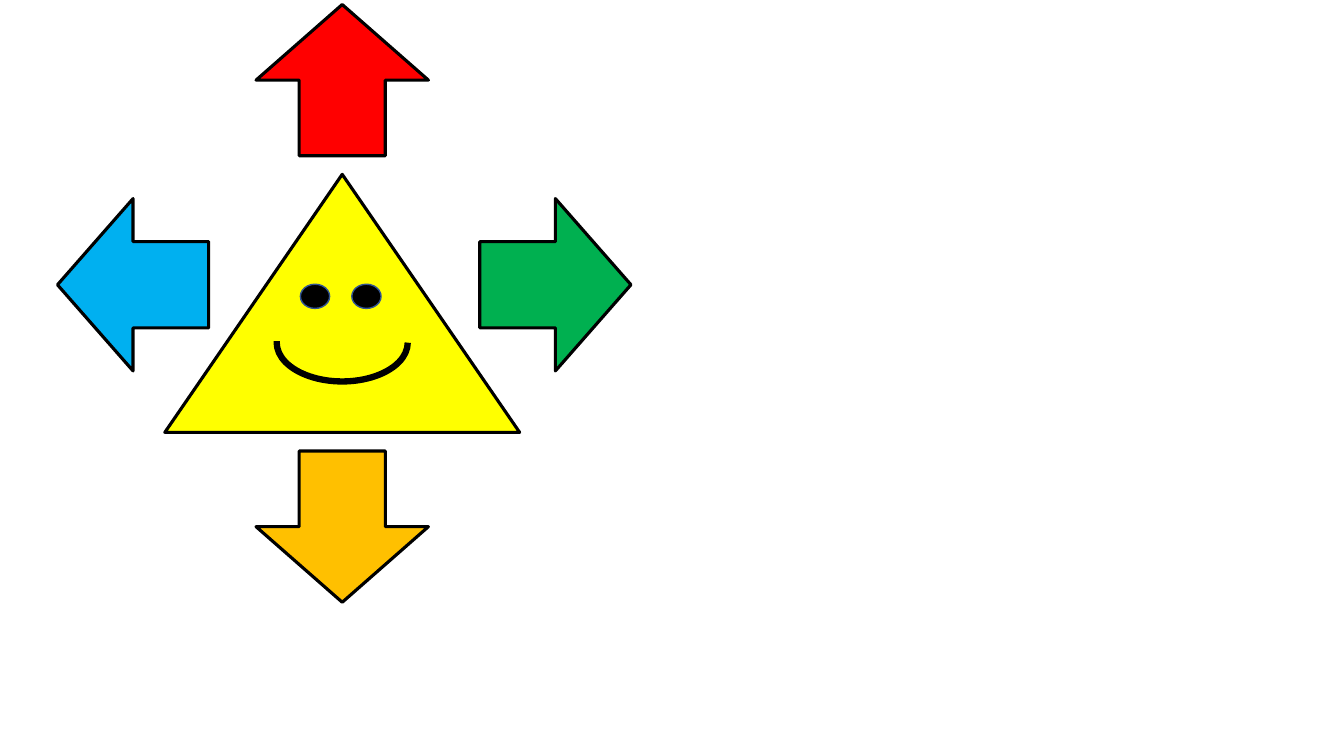
import pptx
import pptx.util
from pptx.dml.color import RGBColor
from pptx.enum.shapes import MSO_SHAPE

BLACK = RGBColor(0x00, 0x00, 0x00)
YELLOW = RGBColor(0xFF, 0xFF, 0x00)
RED = RGBColor(0xFF, 0x00, 0x00)
ORANGE = RGBColor(0xFF, 0xC0, 0x00)
GREEN = RGBColor(0x00, 0xB0, 0x50)
BLUE = RGBColor(0x00, 0xB0, 0xF0)
EYE_EDGE = RGBColor(0x32, 0x54, 0x91)

# Lengths are columns and rows of a square grid.
CELL = pptx.util.Inches(0.1)
COLUMNS, ROWS = 133.33, 75
CENTER = 33.95  # column of the figure's vertical axis
ARROW_SIZE = (15, 17.1)


def add_centered(slide, kind, center, size, fill=None, line=BLACK, weight=2.25, rotation=0):
    """Add a preset shape placed by its centre, with size as columns and rows."""
    left, top = (middle - length / 2 for middle, length in zip(center, size))
    box = (round(length * CELL) for length in (left, top, *size))
    shape = slide.shapes.add_shape(kind, *box)
    shape.rotation = rotation
    shape.shadow.inherit = False
    if fill is None:
        shape.fill.background()
    else:
        shape.fill.solid()
        shape.fill.fore_color.rgb = fill
    shape.line.color.rgb = line
    shape.line.width = pptx.util.Pt(weight)
    return shape


def add_face(slide):
    """Draw the triangle with its smile and two eyes."""
    add_centered(slide, MSO_SHAPE.ISOSCELES_TRIANGLE, (CENTER, 30.1), (35.2, 25.6), YELLOW)
    smile = add_centered(slide, MSO_SHAPE.ARC, (CENTER, 34), (7.7, 13), weight=4.5, rotation=90)
    smile.adjustments[0] = 162
    smile.adjustments[1] = 54.82
    for side in (-1, 1):
        add_centered(slide, MSO_SHAPE.OVAL, (33.8 + side * 2.55, 29.4), (2.9, 2.4),
                     BLACK, EYE_EDGE, 1)


def add_arrows(slide):
    """Draw the four arrows that point away from the face."""
    arrows = (
        ((CENTER, 7.95), 270, RED),
        ((CENTER, 52.25), 90, ORANGE),
        ((55.1, 28.25), 0, GREEN),
        ((13.2, 28.25), 180, BLUE),
    )
    for center, rotation, color in arrows:
        add_centered(slide, MSO_SHAPE.RIGHT_ARROW, center, ARROW_SIZE, color, rotation=rotation)


def main():
    """Build the slide and save it."""
    presentation = pptx.Presentation()
    presentation.slide_width = round(COLUMNS * CELL)
    presentation.slide_height = ROWS * CELL
    slide = presentation.slides.add_slide(presentation.slide_layouts[6])
    add_face(slide)
    add_arrows(slide)
    presentation.save("out.pptx")


main()
